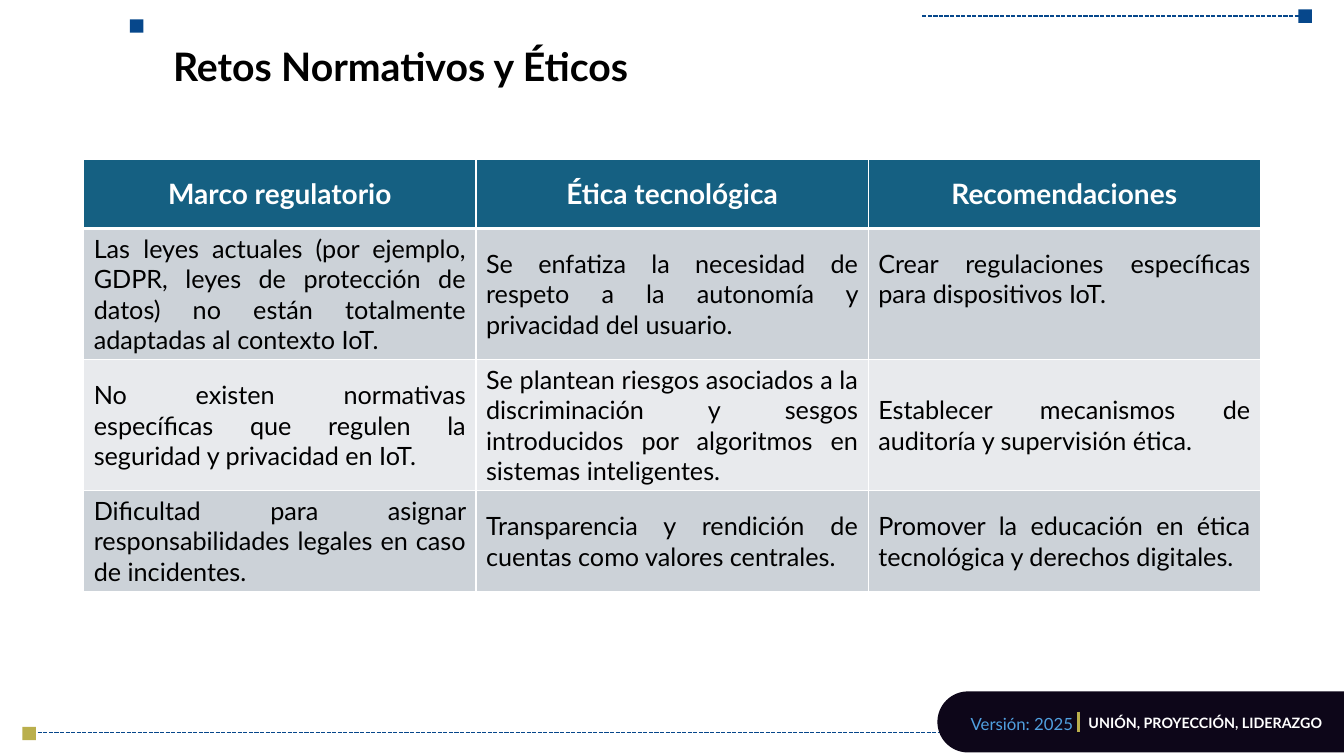
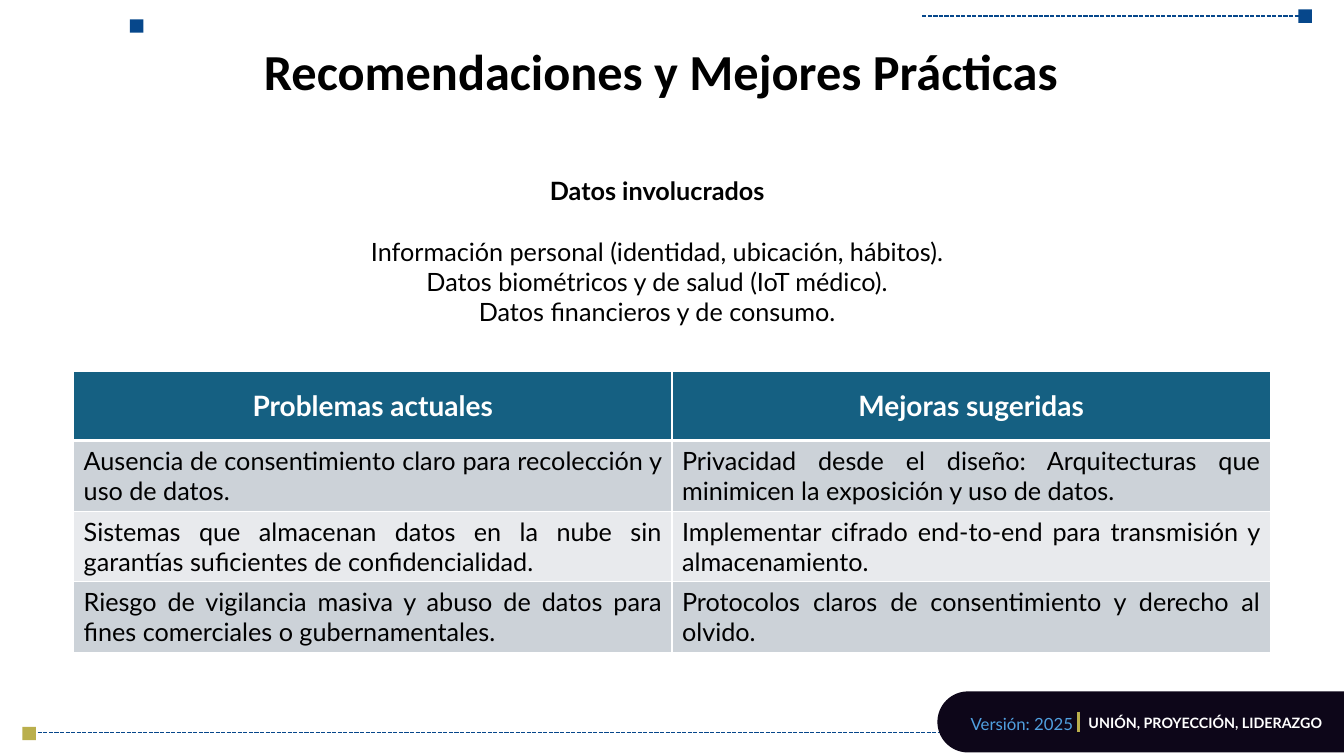
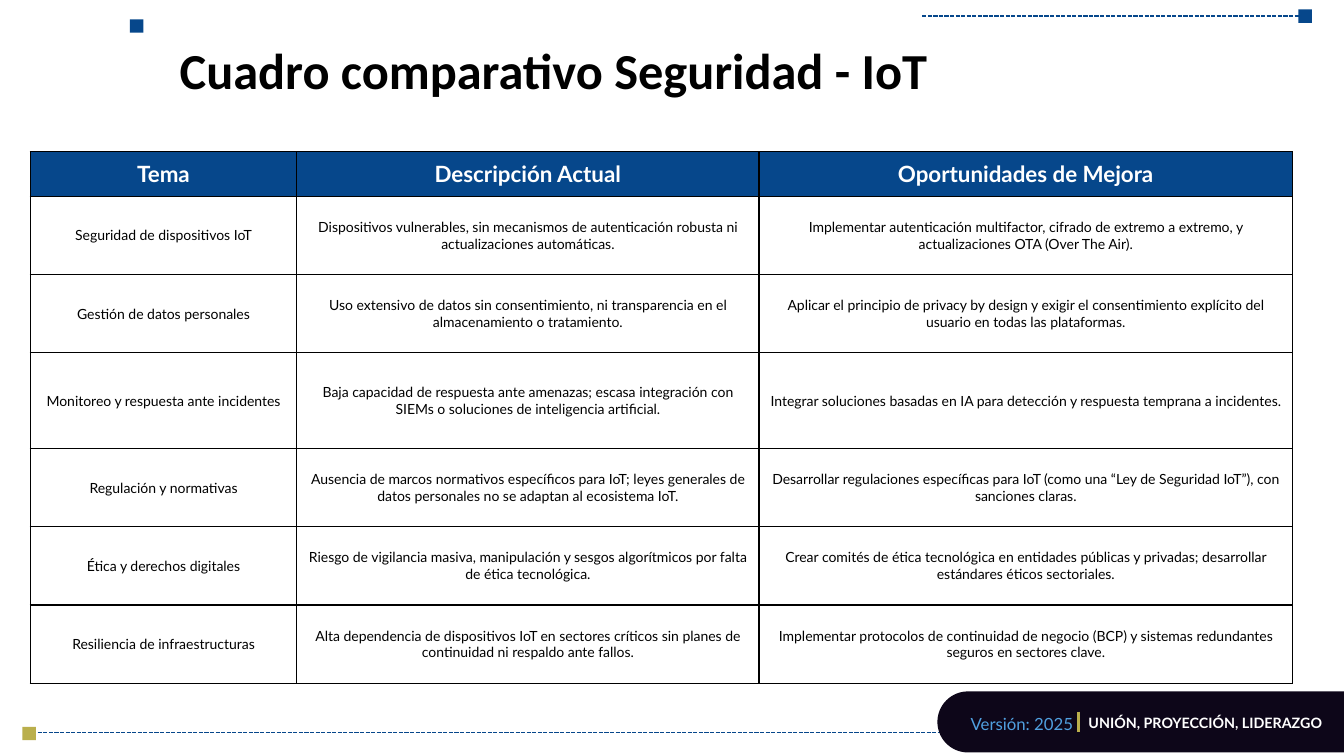
import math
from dataclasses import dataclass
from typing import Optional

from lxml import etree
from pptx import Presentation
from pptx import slide as sl
from pptx import table as tb
from pptx import util as u
from pptx.dml import color
from pptx.enum import dml, shapes, text
from pptx.oxml import ns
from pptx.text import text as tx

Pt = u.Pt
LEFT, CENTER, JUSTIFY = text.PP_ALIGN.LEFT, text.PP_ALIGN.CENTER, text.PP_ALIGN.JUSTIFY
TOP, BOTTOM = text.MSO_ANCHOR.TOP, text.MSO_ANCHOR.BOTTOM


@dataclass(frozen=True)
class Theme:
    blue: str = "06478B"
    gold: str = "BAAF4C"
    night: str = "0D0619"
    sky: str = "50A0E0"
    teal: str = "156082"
    band_dark: str = "CCD2D8"
    band_light: str = "E8EAED"
    white: str = "FFFFFF"
    black: str = "000000"
    body_font: str = "Lato"
    title_font: str = "Calibri"
    title: float = 36
    small_title: float = 28
    table_head: float = 20
    body: float = 18
    compact_head: float = 16
    compact_body: float = 10
    version: float = 12
    motto: float = 10.2


THEME = Theme()


@dataclass(frozen=True)
class Box:
    left: float
    top: float
    width: float
    height: float

    def emu(self) -> tuple[int, ...]:
        return tuple(Pt(v) for v in (self.left, self.top, self.width, self.height))


@dataclass(frozen=True)
class Marker:
    left: float
    top: float
    fill: str


@dataclass(frozen=True)
class Rule:
    x1: float
    y1: float
    x2: float
    y2: float
    ink: str
    weight: float
    dashed: bool


@dataclass(frozen=True)
class GridStyle:
    head_fill: str
    bands: tuple[str, ...]
    head_size: float
    body_size: float
    body_align: text.PP_ALIGN
    border: str
    head_rule: float
    margin_x: float
    margin_y: float


BANDED = GridStyle(THEME.teal, (THEME.band_dark, THEME.band_light), THEME.table_head,
                   THEME.body, JUSTIFY, THEME.white, 3, 7.2, 3.6)
RULED = GridStyle(THEME.blue, (THEME.white,), THEME.compact_head,
                  THEME.compact_body, CENTER, THEME.black, 1, 4.5, 2.25)

MARKER_SIZE = 9.6
MARKERS = (
    Marker(16, 519.1, THEME.gold),
    Marker(927.4, 6.7, THEME.blue),
    Marker(92.8, 13.8, THEME.blue),
)
DASHED_RULES = (
    Rule(23, 523.3, 680, 523.3, THEME.blue, 1, True),
    Rule(658.8, 11.4, 932.4, 11.4, THEME.blue, 1, True),
)
VERSION_DIVIDER = Rule(770.4, 508.3, 770.4, 522.7, THEME.gold, 1.5, False)


def rgb(value: str) -> color.RGBColor:
    return color.RGBColor.from_string(value)


def write(frame: tx.TextFrame, content: str, *, size: float, ink: str = THEME.black,
          font: str = THEME.body_font, bold: bool = False, align: text.PP_ALIGN = LEFT,
          spacing: float = 1, after: float = 0, more: bool = False) -> None:
    paragraph = frame.add_paragraph() if more else frame.paragraphs[0]
    paragraph.alignment = align
    paragraph.line_spacing = spacing
    paragraph.space_after = Pt(after)
    run = paragraph.add_run()
    run.text = content
    run.font.name = font
    run.font.size = Pt(size)
    run.font.bold = bold
    run.font.color.rgb = rgb(ink)


def text_area(page: sl.Slide, box: Box, anchor: text.MSO_ANCHOR = TOP) -> tx.TextFrame:
    frame = page.shapes.add_textbox(*box.emu()).text_frame
    frame.word_wrap = True
    frame.vertical_anchor = anchor
    return frame


def draw_rule(page: sl.Slide, rule: Rule) -> None:
    line = page.shapes.add_connector(shapes.MSO_CONNECTOR.STRAIGHT, Pt(rule.x1), Pt(rule.y1),
                                     Pt(rule.x2), Pt(rule.y2))
    line.line.color.rgb = rgb(rule.ink)
    line.line.width = Pt(rule.weight)
    if rule.dashed:
        line.line.dash_style = dml.MSO_LINE.SQUARE_DOT
    etree.SubElement(line._element.spPr, ns.qn("a:effectLst"))


def draw_marker(page: sl.Slide, marker: Marker) -> None:
    square = page.shapes.add_shape(
        shapes.MSO_SHAPE.RECTANGLE,
        *Box(marker.left, marker.top, MARKER_SIZE, MARKER_SIZE).emu())
    square.shadow.inherit = False
    square.fill.solid()
    square.fill.fore_color.rgb = rgb(marker.fill)
    square.line.fill.background()


def draw_footer_band(page: sl.Slide) -> None:
    right, middle, radius, center = 960, 515.7, 21.8, 691.4
    steps = 40
    arc = [(Pt(center - radius * math.sin(math.pi * i / steps)),
            Pt(middle + radius * math.cos(math.pi * i / steps))) for i in range(steps + 1)]
    outline = page.shapes.build_freeform(Pt(right), Pt(middle - radius))
    outline.add_line_segments([(Pt(right), Pt(middle + radius)), *arc], close=True)
    band = outline.convert_to_shape()
    band.shadow.inherit = False
    band.fill.solid()
    band.fill.fore_color.rgb = rgb(THEME.night)
    band.line.fill.background()


def add_page(deck, title: str, box: Box, *, size: float = THEME.title,
             font: str = THEME.title_font, spacing: float = 0.9,
             anchor: text.MSO_ANCHOR = BOTTOM) -> sl.Slide:
    page = deck.slides.add_slide(deck.slide_layouts[6])
    for rule in DASHED_RULES:
        draw_rule(page, rule)
    for marker in MARKERS:
        draw_marker(page, marker)
    draw_footer_band(page)
    write(text_area(page, Box(686.2, 507.6, 141, 23.8)), "Versión: 2025",
          size=THEME.version, ink=THEME.sky, spacing=0.9)
    write(text_area(page, Box(770.4, 509, 184, 23.8)), "UNIÓN, PROYECCIÓN, LIDERAZGO",
          size=THEME.motto, ink=THEME.white, bold=True, spacing=0.8)
    draw_rule(page, VERSION_DIVIDER)
    write(text_area(page, box, anchor), title, size=size, font=font, bold=True, spacing=spacing)
    return page


def set_borders(cell: tb._Cell, ink: str, top: float, bottom: float) -> None:
    properties = cell._tc.get_or_add_tcPr()
    sides = (("a:lnL", 1), ("a:lnR", 1), ("a:lnT", top), ("a:lnB", bottom))
    for position, (side, weight) in enumerate(sides):
        edge = etree.Element(ns.qn(side), w=str(Pt(weight)))
        fill = etree.SubElement(edge, ns.qn("a:solidFill"))
        etree.SubElement(fill, ns.qn("a:srgbClr"), val=ink)
        properties.insert(position, edge)


def add_grid(page: sl.Slide, left: float, top: float, widths: list[float],
             heights: list[float], rows: list[tuple[str, ...]], style: GridStyle) -> tb.Table:
    box = Box(left, top, sum(widths), sum(heights))
    grid = page.shapes.add_table(len(rows), len(widths), *box.emu()).table
    grid.first_row = grid.horz_banding = False
    for column, width in zip(grid.columns, widths):
        column.width = Pt(width)
    for r, (row, height) in enumerate(zip(rows, heights)):
        grid.rows[r].height = Pt(height)
        head = r == 0
        for c, content in enumerate(row):
            cell = grid.cell(r, c)
            cell.vertical_anchor = text.MSO_ANCHOR.MIDDLE
            cell.margin_left = cell.margin_right = Pt(style.margin_x)
            cell.margin_top = cell.margin_bottom = Pt(style.margin_y)
            cell.fill.solid()
            cell.fill.fore_color.rgb = rgb(
                style.head_fill if head else style.bands[(r - 1) % len(style.bands)])
            set_borders(cell, style.border, style.head_rule if r == 1 else 1,
                        style.head_rule if head else 1)
            write(cell.text_frame, content, bold=head,
                  size=style.head_size if head else style.body_size,
                  ink=THEME.white if head else THEME.black,
                  align=CENTER if head else style.body_align)
    return grid


def bottom_gap(cell: tb._Cell, gap: Optional[float] = None) -> None:
    cell.margin_bottom = Pt(BANDED.margin_y if gap is None else gap)


def build_challenges(deck) -> None:
    page = add_page(deck, "Retos Normativos y Éticos", Box(116.6, 26.6, 625.7, 41),
                    size=THEME.small_title, font=THEME.body_font, spacing=1, anchor=TOP)
    challenges = add_grid(page, 59.8, 113.6, [280.2] * 3, [49.7, 93.6, 93.6, 72], [
        ("Marco regulatorio", "Ética tecnológica", "Recomendaciones"),
        ("Las leyes actuales (por ejemplo, GDPR, leyes de protección de datos) no están "
         "totalmente adaptadas al contexto IoT.",
         "Se enfatiza la necesidad de respeto a la autonomía y privacidad del usuario.",
         "Crear regulaciones específicas para dispositivos IoT."),
        ("No existen normativas específicas que regulen la seguridad y privacidad en IoT.",
         "Se plantean riesgos asociados a la discriminación y sesgos introducidos por "
         "algoritmos en sistemas inteligentes.",
         "Establecer mecanismos de auditoría y supervisión ética."),
        ("Dificultad para asignar responsabilidades legales en caso de incidentes.",
         "Transparencia y rendición de cuentas como valores centrales.",
         "Promover la educación en ética tecnológica y derechos digitales."),
    ], BANDED)
    bottom_gap(challenges.cell(1, 2), 25.2)


def build_practices(deck) -> None:
    page = add_page(deck, "Recomendaciones y Mejores Prácticas", Box(181.4, 18.7, 630.7, 57.6))
    data_involved = text_area(page, Box(230.4, 121.7, 478, 116.6))
    write(data_involved, "Datos involucrados", size=THEME.body, bold=True, align=CENTER,
          after=21.6)
    for kind in ("Información personal (identidad, ubicación, hábitos).",
                 "Datos biométricos y de salud (IoT médico).",
                 "Datos financieros y de consumo."):
        write(data_involved, kind, size=THEME.body, align=CENTER, more=True)
    add_grid(page, 52.6, 265, [427.4] * 2, [49.7] + [50.4] * 3, [
        ("Problemas actuales", "Mejoras sugeridas"),
        ("Ausencia de consentimiento claro para recolección y uso de datos.",
         "Privacidad desde el diseño: Arquitecturas que minimicen la exposición y uso de datos."),
        ("Sistemas que almacenan datos en la nube sin garantías suficientes de "
         "confidencialidad.",
         "Implementar cifrado end-to-end para transmisión y almacenamiento."),
        ("Riesgo de vigilancia masiva y abuso de datos para fines comerciales o "
         "gubernamentales.",
         "Protocolos claros de consentimiento y derecho al olvido."),
    ], BANDED)


def build_comparison(deck) -> None:
    page = add_page(deck, "Cuadro comparativo Seguridad - IoT", Box(121.3, 27.4, 630.7, 48.2))
    row = 55.9
    add_grid(page, 21.6, 108.3, [190.4, 330.2, 381.1],
             [31.9, row, row, 68.4, row, row, row], [
        ("Tema", "Descripción Actual", "Oportunidades de Mejora"),
        ("Seguridad de dispositivos IoT",
         "Dispositivos vulnerables, sin mecanismos de autenticación robusta ni "
         "actualizaciones automáticas.",
         "Implementar autenticación multifactor, cifrado de extremo a extremo, y "
         "actualizaciones OTA (Over The Air)."),
        ("Gestión de datos personales",
         "Uso extensivo de datos sin consentimiento, ni transparencia en el "
         "almacenamiento o tratamiento.",
         "Aplicar el principio de privacy by design y exigir el consentimiento explícito "
         "del usuario en todas las plataformas."),
        ("Monitoreo y respuesta ante incidentes",
         "Baja capacidad de respuesta ante amenazas; escasa integración con SIEMs o "
         "soluciones de inteligencia artificial.",
         "Integrar soluciones basadas en IA para detección y respuesta temprana a "
         "incidentes."),
        ("Regulación y normativas",
         "Ausencia de marcos normativos específicos para IoT; leyes generales de datos "
         "personales no se adaptan al ecosistema IoT.",
         "Desarrollar regulaciones específicas para IoT (como una “Ley de Seguridad "
         "IoT”), con sanciones claras."),
        ("Ética y derechos digitales",
         "Riesgo de vigilancia masiva, manipulación y sesgos algorítmicos por falta de "
         "ética tecnológica.",
         "Crear comités de ética tecnológica en entidades públicas y privadas; "
         "desarrollar estándares éticos sectoriales."),
        ("Resiliencia de infraestructuras",
         "Alta dependencia de dispositivos IoT en sectores críticos sin planes de "
         "continuidad ni respaldo ante fallos.",
         "Implementar protocolos de continuidad de negocio (BCP) y sistemas redundantes "
         "seguros en sectores clave."),
    ], RULED)


def main() -> None:
    deck = Presentation()
    deck.slide_width, deck.slide_height = Pt(960), Pt(540)
    build_challenges(deck)
    build_practices(deck)
    build_comparison(deck)
    deck.save("out.pptx")


if __name__ == "__main__":
    main()
